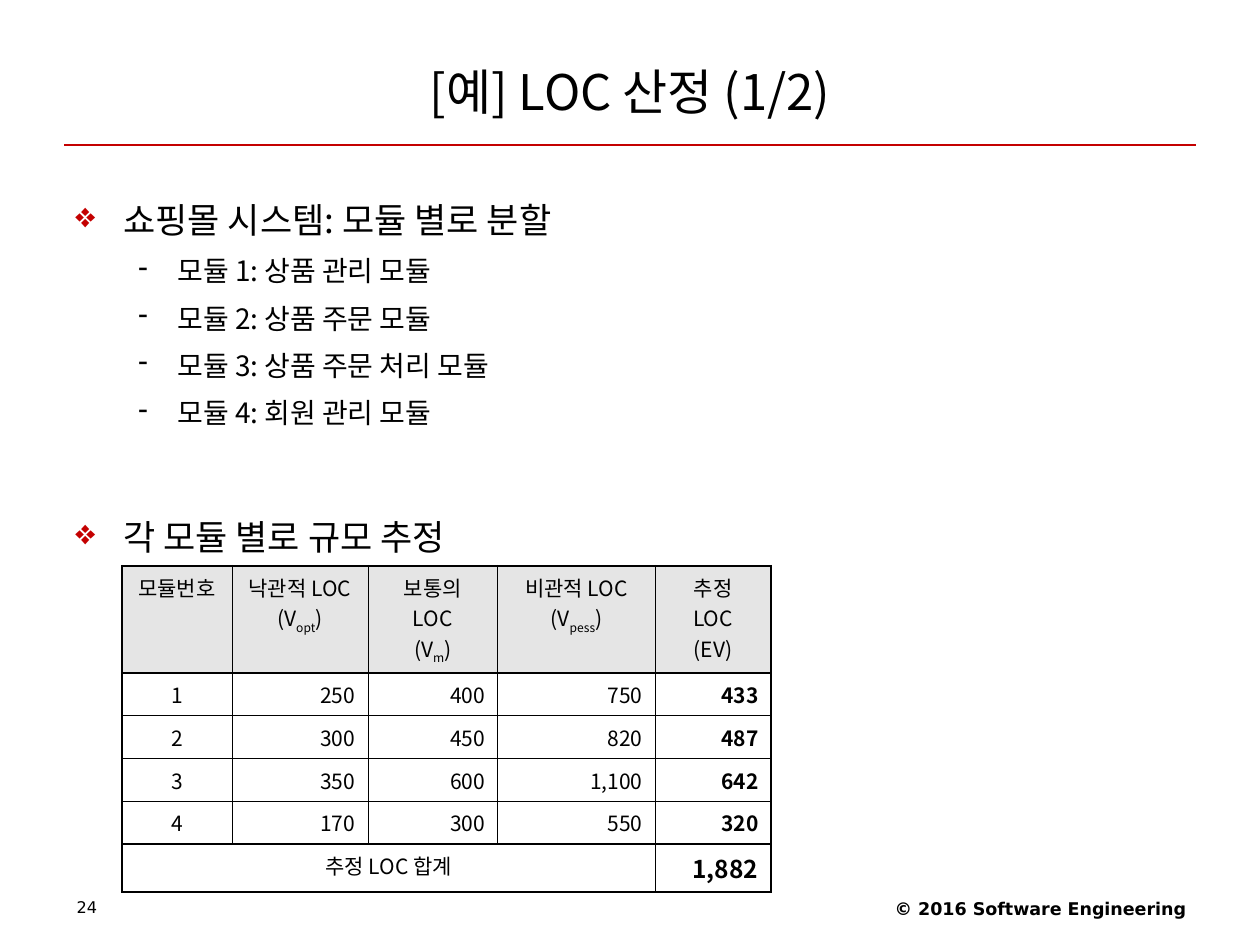
from lxml import etree
from pptx import Presentation
from pptx.dml.color import RGBColor
from pptx.enum.shapes import MSO_CONNECTOR
from pptx.enum.text import MSO_ANCHOR, PP_ALIGN
from pptx.oxml.ns import qn
from pptx.util import Inches, Pt

BLACK = RGBColor(0x00, 0x00, 0x00)
RED = RGBColor(0xC4, 0x00, 0x00)
GRAY = RGBColor(0xE5, 0xE5, 0xE5)
KOREAN_FONT = "Noto Sans CJK KR"
FOOTER_FONT = "DejaVu Sans"
LEFT, CENTER, RIGHT = PP_ALIGN.LEFT, PP_ALIGN.CENTER, PP_ALIGN.RIGHT
TOP, MIDDLE = MSO_ANCHOR.TOP, MSO_ANCHOR.MIDDLE
THIN, THICK = 0.23, 1.08

TITLE = "[예] LOC 산정 (1/2)"
COPYRIGHT = "© 2016 Software Engineering"
PAGE_NUMBER = "24"

# text, level, space before in points
OUTLINE = [
    ("쇼핑몰 시스템: 모듈 별로 분할", 0, 0),
    ("모듈 1: 상품 관리 모듈", 1, 4),
    ("모듈 2: 상품 주문 모듈", 1, 4),
    ("모듈 3: 상품 주문 처리 모듈", 1, 4),
    ("모듈 4: 회원 관리 모듈", 1, 4),
    ("각 모듈 별로 규모 추정", 0, 39.5),
]
# bullet, bullet colour, size, line spacing, margin, hanging indent
LEVELS = [
    ("❖", RED, 20, 1.4, 0.38, 0.38),
    ("-", BLACK, 16, 1.2, 0.81, 0.31),
]

# first paragraph (\v breaks the line), then the second as text, subscript, text
HEADERS = [
    ("모듈번호", None),
    ("낙관적 LOC", ("(V", "opt", ")")),
    ("보통의\vLOC", ("(V", "m", ")")),
    ("비관적 LOC", ("(V", "pess", ")")),
    ("추정\vLOC", ("(EV)", "", "")),
]
ESTIMATES = [
    ("1", "250", "400", "750", "433"),
    ("2", "300", "450", "820", "487"),
    ("3", "350", "600", "1,100", "642"),
    ("4", "170", "300", "550", "320"),
]
TOTAL_LABEL, TOTAL = "추정 LOC 합계", "1,882"
COLUMN_WIDTHS = [0.87, 1.08, 1.03, 1.25, 0.92]
ROW_HEIGHTS = [0.85] + [0.34] * len(ESTIMATES) + [0.38]


def style_run(run, size, font=KOREAN_FONT, bold=False):
    run.font.size = Pt(size)
    run.font.name = font
    run.font.bold = bold
    run.font.color.rgb = BLACK
    east_asian = etree.SubElement(run.font._element, qn("a:ea"))
    east_asian.set("typeface", font)


def style_paragraph(paragraph, alignment, size, font=KOREAN_FONT, bold=False):
    paragraph.alignment = alignment
    for run in paragraph.runs:
        style_run(run, size, font, bold)


def add_text_box(slide, box, anchor=TOP):
    text_frame = slide.shapes.add_textbox(*map(Inches, box)).text_frame
    text_frame.word_wrap = True
    text_frame.vertical_anchor = anchor
    return text_frame


def add_line_of_text(slide, box, text, alignment, size, font, bold=False, anchor=TOP):
    text_frame = add_text_box(slide, box, anchor)
    text_frame.text = text
    style_paragraph(text_frame.paragraphs[0], alignment, size, font, bold)
    return text_frame.paragraphs[0]


def add_bullet(paragraph, character, color, margin, hanging):
    properties = paragraph._p.get_or_add_pPr()
    properties.set("marL", str(Inches(margin)))
    properties.set("indent", str(-Inches(hanging)))
    bullet_color = etree.SubElement(properties, qn("a:buClr"))
    etree.SubElement(bullet_color, qn("a:srgbClr")).set("val", str(color))
    etree.SubElement(properties, qn("a:buChar")).set("char", character)


def add_outline(slide):
    text_frame = add_text_box(slide, (0.5, 1.39, 9, 3.19))
    for index, (text, level, space_before) in enumerate(OUTLINE):
        paragraph = text_frame.add_paragraph() if index else text_frame.paragraphs[0]
        paragraph.text = text
        character, color, size, line_spacing, margin, hanging = LEVELS[level]
        add_bullet(paragraph, character, color, margin, hanging)
        paragraph.level = level
        paragraph.line_spacing = line_spacing
        paragraph.space_before = Pt(space_before)
        style_paragraph(paragraph, LEFT, size)


def set_borders(cell, widths):
    """Draw the left, right, top and bottom edges; widths are in points."""
    properties = cell._tc.get_or_add_tcPr()
    for position, (side, width) in enumerate(zip("LRTB", widths)):
        line = etree.Element(qn(f"a:ln{side}"), w=str(Pt(width)))
        fill = etree.SubElement(line, qn("a:solidFill"))
        etree.SubElement(fill, qn("a:srgbClr")).set("val", str(BLACK))
        properties.insert(position, line)


def fill_header(cell, first_line, second_line):
    text_frame = cell.text_frame
    text_frame.text = first_line
    if second_line:
        paragraph = text_frame.add_paragraph()
        for position, part in enumerate(second_line):
            if part:
                run = paragraph.add_run()
                run.text = part
                if position == 1:
                    run.font._element.set("baseline", "-25000")
    for paragraph in text_frame.paragraphs:
        style_paragraph(paragraph, CENTER, 12)


def fill_cell(cell, text, alignment, size=12, bold=False):
    cell.text_frame.text = text
    style_paragraph(cell.text_frame.paragraphs[0], alignment, size, bold=bold)


def add_estimate_table(slide):
    frame = slide.shapes.add_table(
        len(ROW_HEIGHTS), len(COLUMN_WIDTHS), Inches(0.97), Inches(4.49),
        Inches(sum(COLUMN_WIDTHS)), Inches(sum(ROW_HEIGHTS)))
    table = frame.table
    table.first_row = table.horz_banding = False
    for column, width in zip(table.columns, COLUMN_WIDTHS):
        column.width = Inches(width)
    for row, height in zip(table.rows, ROW_HEIGHTS):
        row.height = Inches(height)

    last_row, last_column = len(ROW_HEIGHTS) - 1, len(COLUMN_WIDTHS) - 1
    for row in range(last_row + 1):
        for column in range(last_column + 1):
            cell = table.cell(row, column)
            if row == 0:
                cell.fill.solid()
                cell.fill.fore_color.rgb = GRAY
            else:
                cell.fill.background()
            thick_edges = (column == 0, column == last_column,
                           row in (0, 1, last_row), row in (0, last_row - 1, last_row))
            set_borders(cell, [THICK if thick else THIN for thick in thick_edges])

    for column, header in enumerate(HEADERS):
        fill_header(table.cell(0, column), *header)
    for row, values in enumerate(ESTIMATES, start=1):
        for column, value in enumerate(values):
            fill_cell(table.cell(row, column), value,
                      RIGHT if column else CENTER, bold=column == last_column)
    table.cell(last_row, 0).merge(table.cell(last_row, last_column - 1))
    fill_cell(table.cell(last_row, 0), TOTAL_LABEL, CENTER)
    fill_cell(table.cell(last_row, last_column), TOTAL, RIGHT, 14, True)


def add_title_rule(slide):
    rule = slide.shapes.add_connector(
        MSO_CONNECTOR.STRAIGHT, Inches(0.51), Inches(1.15), Inches(9.49), Inches(1.15))
    rule.line.color.rgb = RED
    rule.line.width = Pt(0.75)
    etree.SubElement(rule._element.spPr, qn("a:effectLst"))


def main():
    presentation = Presentation()
    presentation.slide_width, presentation.slide_height = Inches(10), Inches(7.5)
    slide = presentation.slides.add_slide(presentation.slide_layouts[6])
    add_title_rule(slide)
    add_line_of_text(slide, (6.34, 7.08, 3.17, 0.29), COPYRIGHT, RIGHT, 10, FOOTER_FONT, True)
    number = add_line_of_text(slide, (0.51, 7.09, 2.33, 0.28), PAGE_NUMBER, LEFT, 9.2, FOOTER_FONT)
    number.line_spacing = 0.9
    add_line_of_text(slide, (0.5, 0.3, 9, 0.85), TITLE, CENTER, 28, KOREAN_FONT, anchor=MIDDLE)
    add_outline(slide)
    add_estimate_table(slide)
    presentation.save("out.pptx")


if __name__ == "__main__":
    main()
